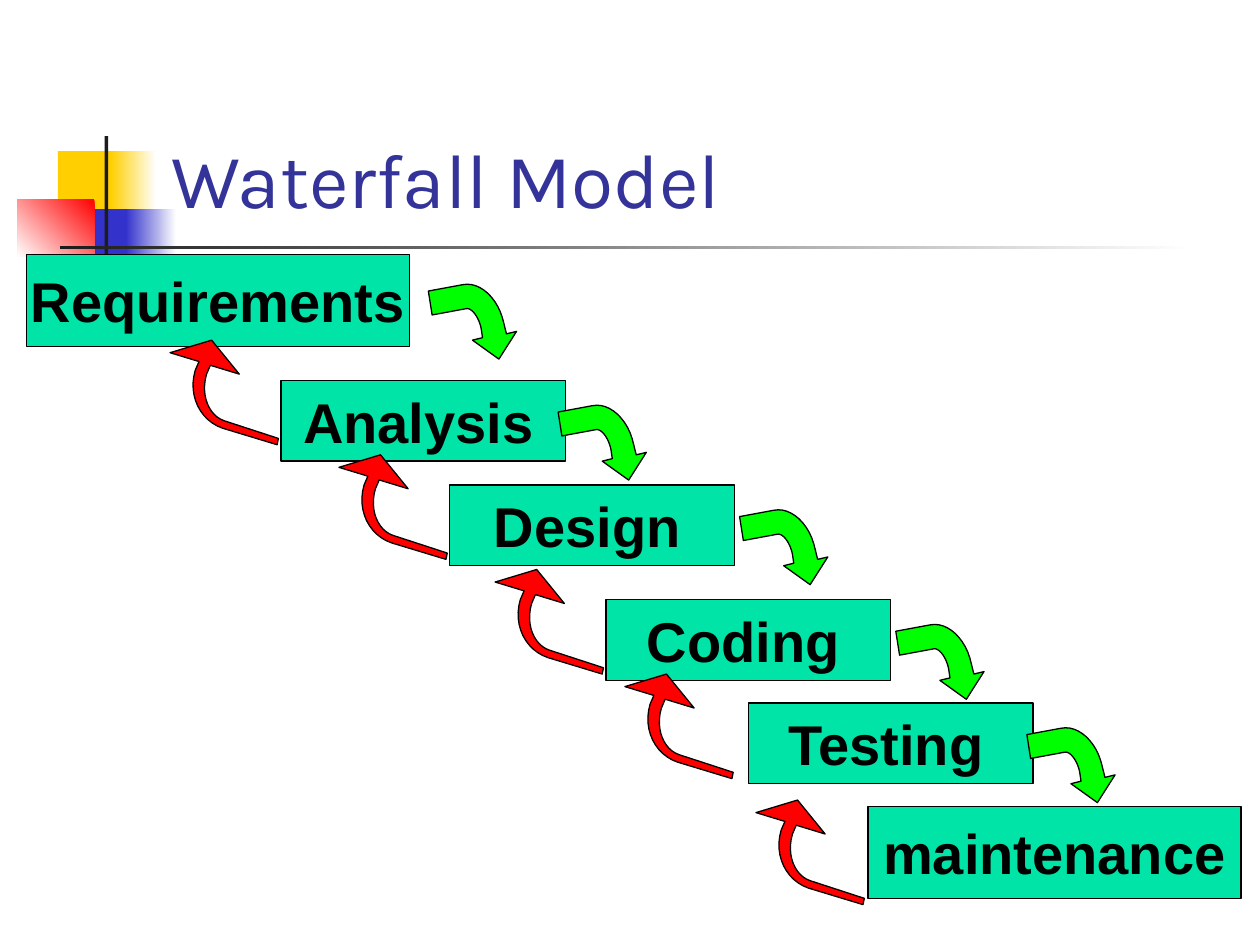
from dataclasses import dataclass

from pptx import Presentation
from pptx.dml.color import RGBColor
from pptx.enum.shapes import MSO_SHAPE as Shape
from pptx.enum.text import MSO_ANCHOR as Anchor, MSO_AUTO_SIZE as AutoSize, PP_ALIGN as Align
from pptx.util import Pt

PX = 9144
CURVE_STEPS = 12
Point = tuple[int, int]


@dataclass
class Bar:
    box: tuple[int, int, int, int]
    colors: tuple[str, ...]
    angle: int = 180


@dataclass
class Stage:
    name: str
    box: tuple[int, int, int, int]
    tail: str = " "


@dataclass
class ArrowKind:
    color: str
    segments: list[tuple[Point, ...]]
    starts: list[Point]


BARS = [
    Bar((46, 120, 48, 52), ("FFCF01",)),
    Bar((88, 120, 36, 52), ("FFFFFF", "FFCF01")),
    Bar((59, 166, 46, 52), ("3333CC",)),
    Bar((100, 166, 40, 52), ("FFFFFF", "3333CC")),
    Bar((14, 158, 61, 46), ("FF0000", "FFFFFF"), 225),
    Bar((83, 108, 3, 115), ("1C1C1C",)),
    Bar((48, 195, 900, 3), ("FFFFFF", "1C1C1C")),
]

STAGES = [
    Stage("Requirements", (21, 202, 304, 73), ""),
    Stage("Analysis", (223, 302, 226, 64)),
    Stage("Design", (357, 385, 226, 64)),
    Stage("Coding", (481, 476, 226, 64)),
    Stage("Testing", (594, 558, 226, 64)),
    Stage("maintenance", (689, 640, 296, 73), ""),
]

FORWARD = ArrowKind(
    "00FF00",
    [((27, -5),), ((41, -8), (56, 6), (60, 26)), ((62, 34),), ((70, 32),),
     ((56, 54),), ((35, 39),), ((43, 37),), ((42, 30),),
     ((40, 20), (34, 13), (30, 14)), ((3, 19),)],
    [(340, 231), (443, 327), (587, 410), (711, 501), (815, 583)],
)

BACK = ArrowKind(
    "FF0000",
    [((-43, -13),), ((-61, -19), (-71, -39), (-65, -59)), ((-62, -66),),
     ((-85, -73),), ((-52, -83),), ((-30, -56),), ((-53, -63),), ((-56, -56),),
     ((-61, -39), (-54, -23), (-42, -19)), ((1, -5),)],
    [(685, 718), (581, 618), (478, 535), (354, 444), (220, 353)],
)


def rgb(value: str) -> RGBColor:
    return RGBColor.from_string(value)


def emu(box: tuple[int, ...]) -> list[int]:
    return [v * PX for v in box]


def style(sp, fill: str) -> None:
    sp.shadow.inherit = False
    sp.fill.solid()
    sp.fill.fore_color.rgb = rgb(fill)
    sp.line.color.rgb = rgb("000000")
    sp.line.width = Pt(0.75)


def add_run(p, text: str, font: str, size: int, color: str, bold: bool) -> None:
    r = p.add_run()
    r.text = text
    r.font.name = font
    r.font.size = Pt(size)
    r.font.bold = bold
    r.font.color.rgb = rgb(color)


def draw_bar(s, bar: Bar) -> None:
    sp = s.shapes.add_shape(Shape.RECTANGLE, *emu(bar.box))
    style(sp, bar.colors[0])
    sp.line.fill.background()
    if len(bar.colors) == 2:
        sp.fill.gradient()
        sp.fill.gradient_angle = bar.angle
        for stop, color, position in zip(sp.fill.gradient_stops, bar.colors, (0, 1)):
            stop.color.rgb = rgb(color)
            stop.position = position


def draw_title(s, text: str) -> None:
    sp = s.shapes.title
    sp.left, sp.top, sp.width, sp.height = emu((126, 23, 852, 160))
    sp.element.getparent().append(sp.element)
    tf = sp.text_frame
    tf.auto_size = AutoSize.NONE
    tf.vertical_anchor = Anchor.BOTTOM
    p = tf.paragraphs[0]
    p.alignment = Align.LEFT
    add_run(p, text, "Karla", 44, "333399", False)


def draw_stage(s, stage: Stage) -> None:
    sp = s.shapes.add_shape(Shape.RECTANGLE, *emu(stage.box))
    style(sp, "00E4A8")
    tf = sp.text_frame
    tf.word_wrap = False
    tf.vertical_anchor = Anchor.MIDDLE
    p = tf.paragraphs[0]
    p.alignment = Align.CENTER
    add_run(p, stage.name, "Arial", 32, "000000", True)
    if stage.tail:
        add_run(p, stage.tail, "Arial", 20, "000000", True)


def bezier(a: Point, b: Point, c: Point, d: Point) -> list[tuple[float, float]]:
    points = []
    for step in range(1, CURVE_STEPS + 1):
        t = step / CURVE_STEPS
        weights = ((1 - t) ** 3, 3 * t * (1 - t) ** 2, 3 * t * t * (1 - t), t ** 3)
        x, y = (sum(w * v for w, v in zip(weights, axis)) for axis in zip(a, b, c, d))
        points.append((x, y))
    return points


def draw_arrow(s, kind: ArrowKind, start: Point) -> None:
    outline = []
    last = (0, 0)
    for segment in kind.segments:
        outline += bezier(last, *segment) if len(segment) == 3 else segment
        last = segment[-1]
    x0, y0 = emu(start)
    builder = s.shapes.build_freeform(x0, y0)
    builder.add_line_segments(
        [(x0 + round(x * PX), y0 + round(y * PX)) for x, y in outline], close=True
    )
    style(builder.convert_to_shape(), kind.color)


def main() -> None:
    prs = Presentation()
    prs.slide_width, prs.slide_height = emu((1000, 750))
    s = prs.slides.add_slide(prs.slide_layouts[5])
    for bar in BARS:
        draw_bar(s, bar)
    draw_title(s, "Waterfall Model")
    for stage in STAGES:
        draw_stage(s, stage)
    for kind in (FORWARD, BACK):
        for start in kind.starts:
            draw_arrow(s, kind, start)
    prs.save("out.pptx")


if __name__ == "__main__":
    main()
